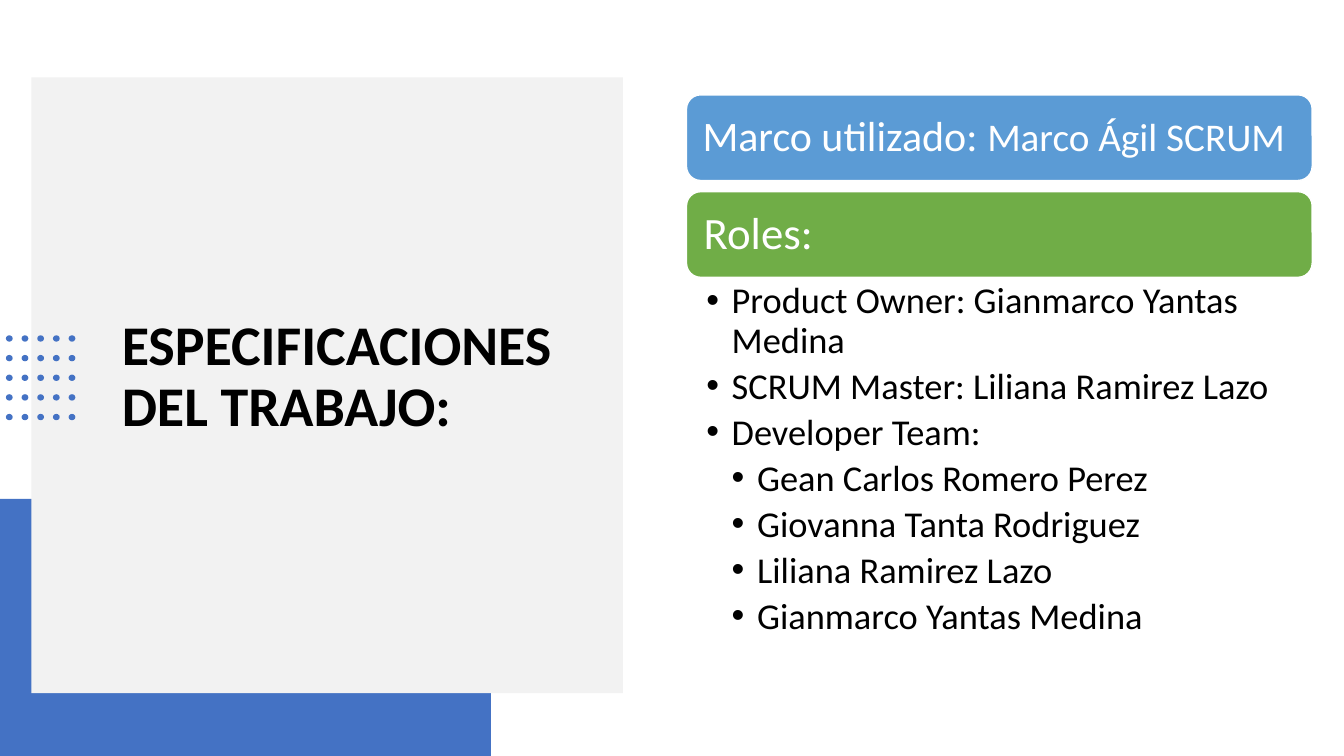
from lxml import etree
from pptx import Presentation
from pptx.dml.color import RGBColor
from pptx.enum.shapes import MSO_SHAPE
from pptx.enum.text import MSO_ANCHOR, PP_ALIGN
from pptx.oxml.ns import qn
from pptx.util import Cm, Pt

RECT, OVAL, ROUND = MSO_SHAPE.RECTANGLE, MSO_SHAPE.OVAL, MSO_SHAPE.ROUNDED_RECTANGLE
MIDDLE, TOP, LEFT = MSO_ANCHOR.MIDDLE, MSO_ANCHOR.TOP, PP_ALIGN.LEFT
BLUE = RGBColor(0x44, 0x72, 0xC4)
SKY = RGBColor(0x5B, 0x9B, 0xD5)
GREEN = RGBColor(0x70, 0xAD, 0x47)
GRAY = RGBColor(0xF2, 0xF2, 0xF2)
WHITE = RGBColor(0xFF, 0xFF, 0xFF)
BLACK = RGBColor(0, 0, 0)

BARS = [
    (SKY, 0.3, [("Marco utilizado: ", 30), ("Marco Ágil SCRUM", 28)]),
    (GREEN, 0.33, [("Roles:", 32)]),
]
ROLES = [
    (1, "Product Owner: Gianmarco Yantas Medina"),
    (1, "SCRUM Master: Liliana Ramirez Lazo"),
    (1, "Developer Team:"),
    (2, "Gean Carlos Romero Perez"),
    (2, "Giovanna Tanta Rodriguez"),
    (2, "Liliana Ramirez Lazo"),
    (2, "Gianmarco Yantas Medina"),
]


def apply(target, values):
    """Set each attribute in values on the target."""
    for name, value in values.items():
        setattr(target, name, value)


def add_block(shapes, kind, box, color, edge=None):
    """Add a filled shape, with an outline if an edge colour is given."""
    block = shapes.add_shape(kind, *map(Cm, box))
    block.shadow.inherit = False
    block.fill.solid()
    block.fill.fore_color.rgb = color
    if edge is None:
        block.line.fill.background()
    else:
        block.line.color.rgb = edge
        block.line.width = Pt(1)
    return block


def set_frame(frame, anchor, pads):
    """Wrap a text frame and set its anchor and its four margins."""
    left, top, right, bottom = map(Cm, pads)
    apply(frame, {"word_wrap": True, "vertical_anchor": anchor,
                  "margin_left": left, "margin_top": top,
                  "margin_right": right, "margin_bottom": bottom})


def write(para, runs, color, bold=False, after=0):
    """Fill a paragraph with runs of text and size."""
    apply(para, {"alignment": LEFT, "line_spacing": 0.9, "space_after": Pt(after)})
    for text, size in runs:
        run = para.add_run()
        run.text = text
        apply(run.font, {"name": "Calibri", "size": Pt(size), "bold": bold})
        run.font.color.rgb = color


def add_bullet(para, level):
    """Indent a paragraph to its level and give it a bullet."""
    para.level = level
    props = para._p.get_or_add_pPr()
    props.set("marL", str(Cm(0.64 * level)))
    props.set("indent", str(-Cm(0.64)))
    etree.SubElement(props, qn("a:buFont")).set("typeface", "Arial")
    etree.SubElement(props, qn("a:buChar")).set("char", "•")


def add_dots(shapes, box, count=5, width=0.17, height=0.16):
    """Spread a square grid of dots evenly over the box."""
    left, top, wide, high = box
    group = shapes.add_group_shape()
    across = (wide - width) / (count - 1)
    down = (high - height) / (count - 1)
    for col in range(count):
        for row in range(count):
            spot = (left + col * across, top + row * down, width, height)
            add_block(group.shapes, OVAL, spot, BLUE)


def add_title(shapes, box):
    """Draw the left panel with its corner, title and dots."""
    left, top, wide, high = box
    add_block(shapes, RECT, (0, top + 10.62, 12.37, 6.48), BLUE)
    add_block(shapes, RECT, box, GRAY)
    title = shapes.add_textbox(Cm(left + 2.03), Cm(top + 1.78), Cm(11.66), Cm(11.58))
    set_frame(title.text_frame, MIDDLE, (0.25, 0.13, 0.25, 0.13))
    write(title.text_frame.paragraphs[0],
          [("ESPECIFICACIONES DEL TRABAJO:", 40)], BLACK, bold=True)
    add_dots(shapes, (left - 0.64, top + 6.5, 1.75, 2.14))


def add_roles(shapes, box):
    """Draw the heading bars and the list of roles below them."""
    left, top, wide, high = box
    tall, step = 2.16, 2.44
    for index, (color, pad, runs) in enumerate(BARS):
        spot = (left, top + index * step, wide, tall)
        bar = add_block(shapes, ROUND, spot, color, WHITE)
        set_frame(bar.text_frame, MIDDLE, [pad] * 4)
        write(bar.text_frame.paragraphs[0], runs, WHITE)
    drop = step * (len(BARS) - 1) + tall
    frame = shapes.add_textbox(Cm(left), Cm(top + drop), Cm(wide),
                               Cm(high - drop)).text_frame
    set_frame(frame, TOP, (0.5, 0.13, 0.66, 0.13))
    for index, (level, text) in enumerate(ROLES):
        para = frame.add_paragraph() if index else frame.paragraphs[0]
        write(para, [(text, 26)], BLACK, after=4.8)
        add_bullet(para, level)


def main():
    """Build and save the slide."""
    deck = Presentation()
    apply(deck, {"slide_width": Cm(33.87), "slide_height": Cm(19.05)})
    shapes = deck.slides.add_slide(deck.slide_layouts[6]).shapes
    add_title(shapes, (0.79, 1.95, 14.91, 15.52))
    add_roles(shapes, (17.3, 2.39, 15.77, 14.28))
    deck.save("out.pptx")


if __name__ == "__main__":
    main()
